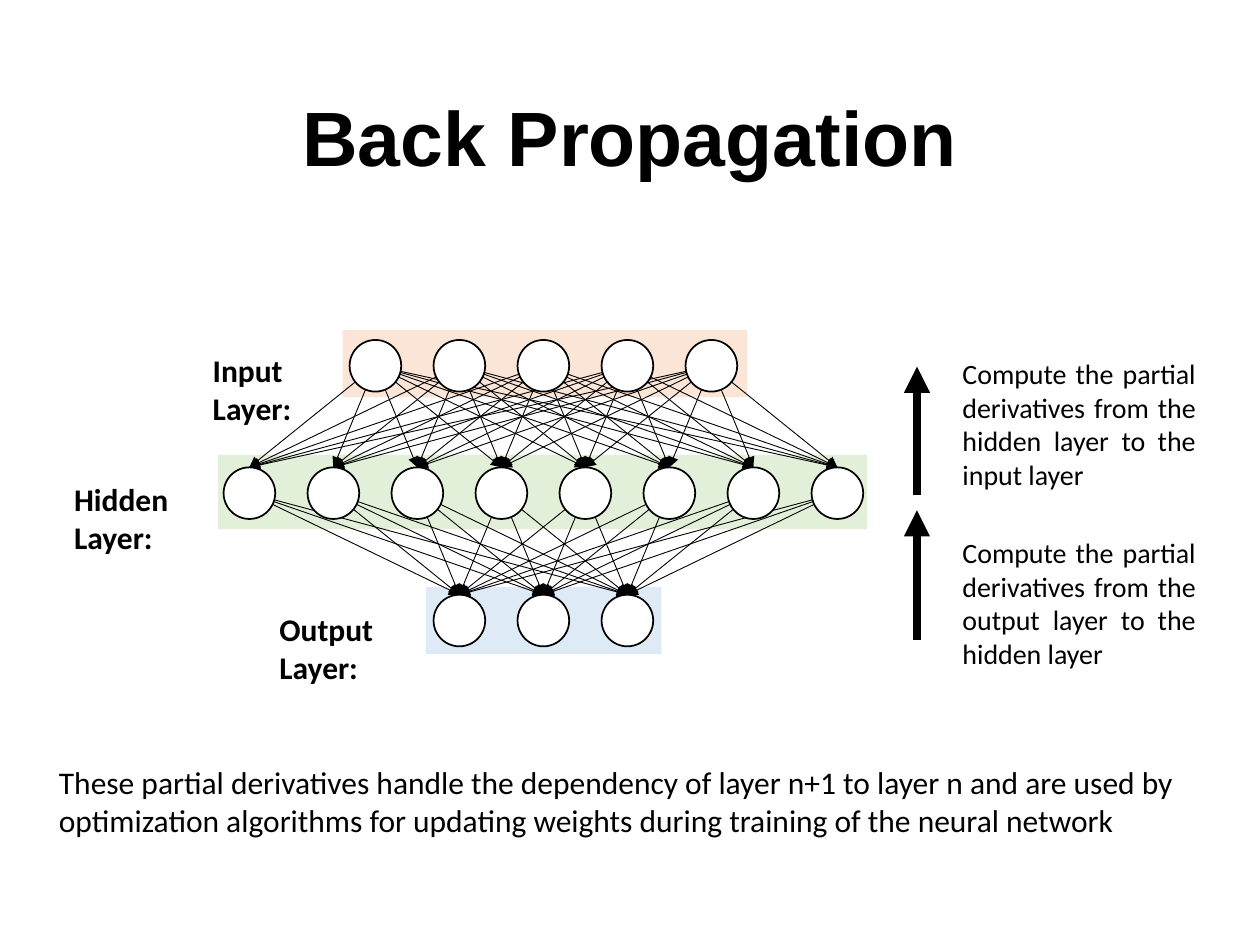
from itertools import product

from lxml import etree
from pptx import Presentation
from pptx.dml.color import RGBColor
from pptx.enum import shapes, text
from pptx.oxml.ns import qn
from pptx.util import Pt

BLACK = RGBColor(0x00, 0x00, 0x00)
WHITE = RGBColor(0xFF, 0xFF, 0xFF)
PEACH = RGBColor(0xFB, 0xE5, 0xD6)
GREEN = RGBColor(0xE2, 0xF0, 0xD9)
BLUE = RGBColor(0xDE, 0xEB, 0xF7)

# Network grid, in points
MID, TOP = 310.5, 209
STEP, DROP = 48, 72.8
SIZE = 29.5

# Node count, band colour, band box, label, label box
LAYERS = [
    (5, PEACH, (195.8, 188.6, 231.1, 38.2), "Input Layer:",
     (114.5, 197.3, 83.5, 20.9)),
    (8, GREEN, (124.6, 259.9, 370.8, 42.5), "Hidden Layer:",
     (35.3, 270.7, 88.6, 20.9)),
    (3, BLUE, (243.4, 335.5, 134.6, 38.2), "Output Layer:",
     (152.6, 344.9, 88.6, 20.9)),
]

# Arrow start and end heights, note top, note
STEPS = [
    (365.8, 291.6, 302.6, "Compute the partial derivatives from the "
     "output layer to the hidden layer"),
    (283, 209.5, 200.2, "Compute the partial derivatives from the "
     "hidden layer to the input layer"),
]
SUMMARY = ("These partial derivatives handle the dependency of layer n+1 to "
           "layer n and are used by optimization algorithms for updating "
           "weights during training of the neural network")


def style(para, size, font="Calibri", bold=False):
    for run in para.runs:
        run.font.name = font
        run.font.size = Pt(size)
        run.font.bold = bold
        run.font.color.rgb = BLACK


def add_title(slide, words):
    title = slide.shapes.title
    title.left, title.top = Pt(49.7), Pt(28.8)
    title.width, title.height = Pt(620.6), Pt(104.4)
    frame = title.text_frame
    frame.text = words
    frame.vertical_anchor = text.MSO_ANCHOR.MIDDLE
    para = frame.paragraphs[0]
    para.alignment = text.PP_ALIGN.CENTER
    para.line_spacing = 0.9
    style(para, 44, "Arial", True)


def add_text(slide, box, words, size, bold=False, align=text.PP_ALIGN.LEFT):
    frame = slide.shapes.add_textbox(*map(Pt, box)).text_frame
    frame.word_wrap = True
    frame.text = words
    para = frame.paragraphs[0]
    para.alignment = align
    style(para, size, bold=bold)


def add_form(slide, kind, box, fill, line=None):
    form = slide.shapes.add_shape(kind, *map(Pt, box))
    form.shadow.inherit = False
    form.fill.solid()
    form.fill.fore_color.rgb = fill
    if line:
        form.line.color.rgb = BLACK
        form.line.width = Pt(line)
    else:
        form.line.fill.background()


def add_arrow(slide, start, end, width):
    arrow = slide.shapes.add_connector(
        shapes.MSO_CONNECTOR.STRAIGHT, *map(Pt, (*start, *end)))
    arrow.line.color.rgb = BLACK
    arrow.line.width = Pt(width)
    etree.SubElement(arrow.line._get_or_add_ln(), qn("a:tailEnd"),
                     type="triangle")
    etree.SubElement(arrow._element.spPr, qn("a:effectLst"))


def centers(row, count):
    """Centre points of a row of evenly spaced nodes."""
    first = MID - STEP * (count - 1) / 2
    return [(first + STEP * i, TOP + DROP * row) for i in range(count)]


def add_net(slide):
    rows = [centers(i, layer[0]) for i, layer in enumerate(LAYERS)]

    # Colour bands
    for _, fill, band, _, _ in LAYERS:
        add_form(slide, shapes.MSO_SHAPE.RECTANGLE, band, fill)

    # Full connection of neighbouring layers
    for upper, lower in zip(rows, rows[1:]):
        for start, (x, y) in product(upper, lower):
            add_arrow(slide, start, (x, y - SIZE / 2), 0.5)

    # Nodes
    for x, y in sum(rows, []):
        box = (x - SIZE / 2, y - SIZE / 2, SIZE, SIZE)
        add_form(slide, shapes.MSO_SHAPE.OVAL, box, WHITE, 1)

    # Layer names
    for _, _, _, name, box in LAYERS:
        add_text(slide, box, name, 18, bold=True)


def main():
    deck = Presentation()
    deck.slide_width, deck.slide_height = Pt(720), Pt(540)
    slide = deck.slides.add_slide(deck.slide_layouts[5])

    add_title(slide, "Back Propagation")
    add_net(slide)

    # Backward steps
    for start, end, top, note in STEPS:
        add_arrow(slide, (524, start), (524, end), 5)
        add_text(slide, (542.9, top, 147.6, 85), note, 16,
                 align=text.PP_ALIGN.JUSTIFY)

    add_text(slide, (26.6, 432.7, 666.7, 51.1), SUMMARY, 18)
    deck.save("out.pptx")


if __name__ == "__main__":
    main()
